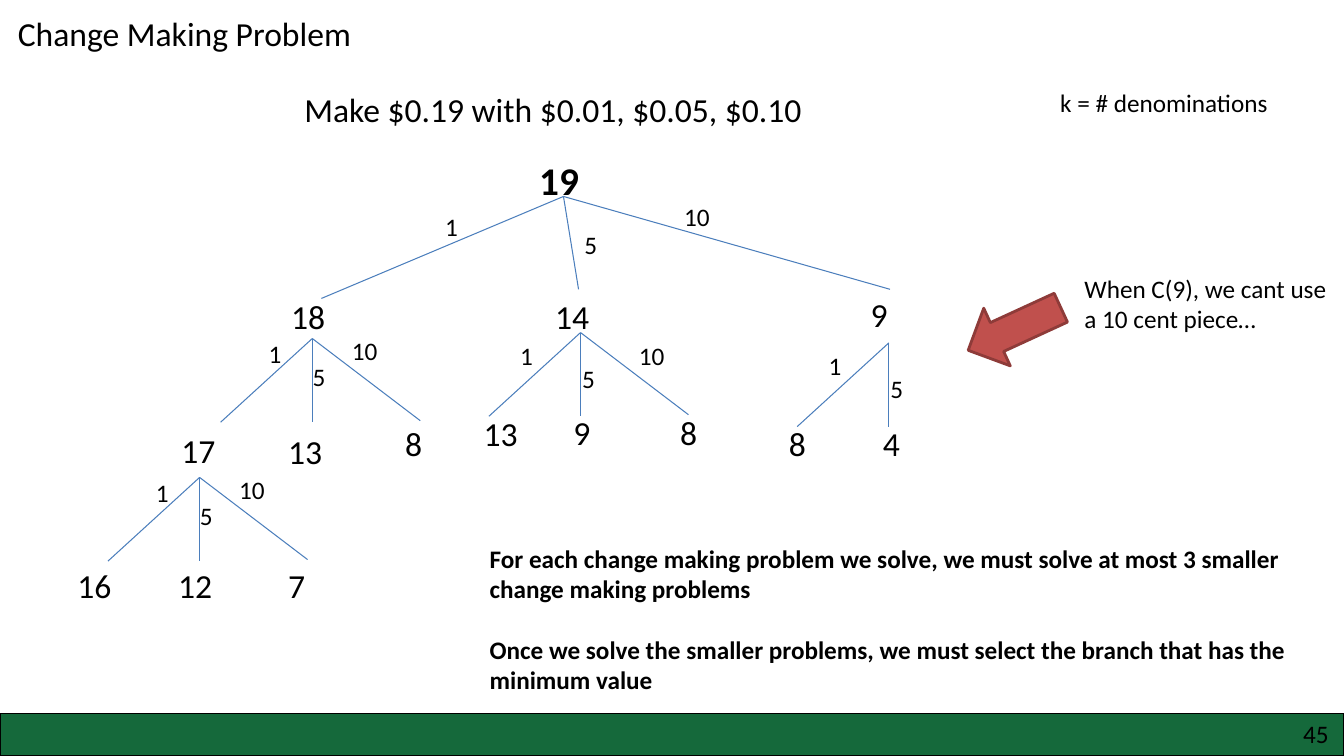
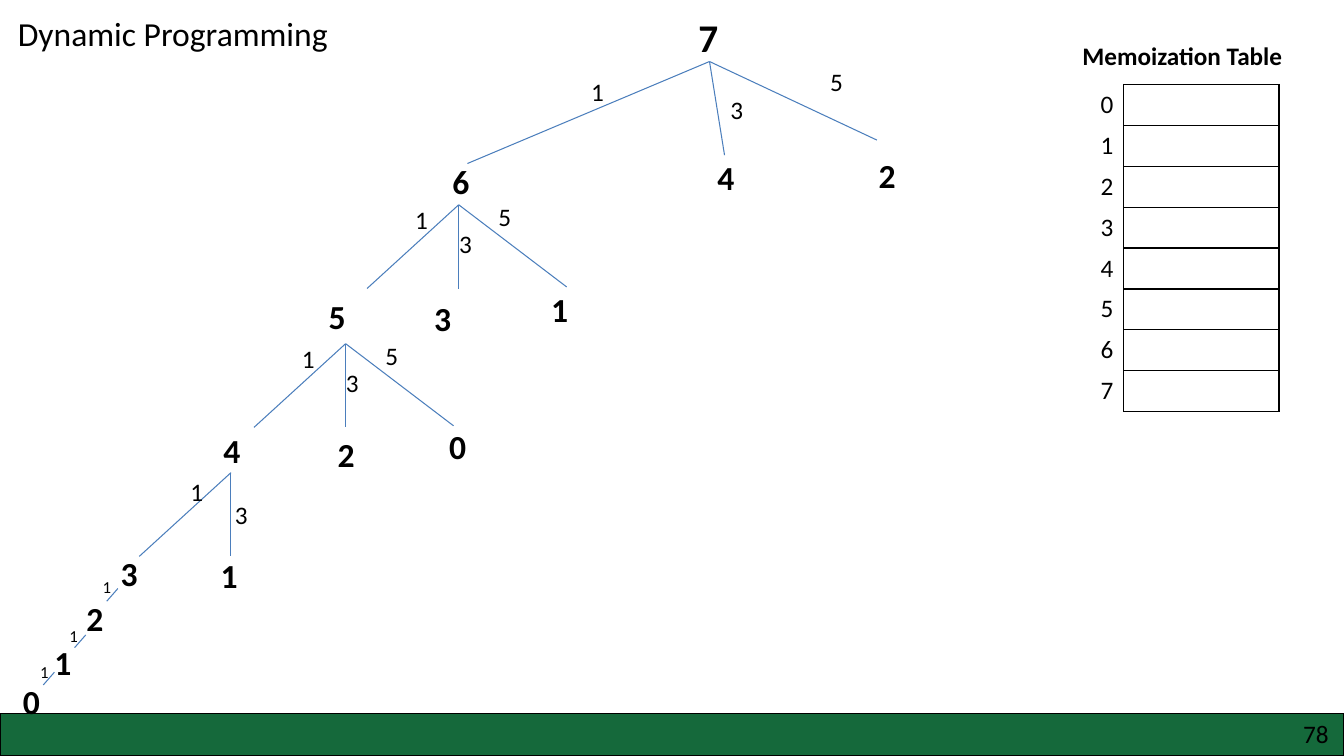
from pptx import Presentation
from pptx.dml.color import RGBColor
from pptx.enum.shapes import MSO_CONNECTOR, MSO_SHAPE
from pptx.oxml import parse_xml
from pptx.oxml.ns import nsdecls, qn
from pptx.util import Cm, Pt

STRAIGHT = MSO_CONNECTOR.STRAIGHT
RECTANGLE = MSO_SHAPE.RECTANGLE
RIGHT_ARROW = MSO_SHAPE.RIGHT_ARROW

FONT = "Calibri"
BLACK, WHITE = "000000", "FFFFFF"
GREEN, BLUE = "15693B", "4B7EBC"
RED, DARK_RED = "C0504D", "8E3B39"
WIDTH, HEIGHT = 33.87, 19.05
BAND_TOP = 17.98

BRANCH_ENDS = [(-2.31, 2.11), (0, 2.11), (2.72, 2.07)]
TIGHT_LABELS = [(-1.35, -0.13), (-0.24, 0.46), (0.75, -0.2)]
WIDE_LABELS = [(-1.77, 0.06), (-0.21, 0.65), (1.22, 0.08)]
LOW_LABELS = [(-1.27, -0.02), (-0.15, 0.56)]
ROOT_LABELS = [(-3.23, 0.25), (0.28, 0.71), (2.79, 0)]


def color(value):
    """Turn a hex string into a colour."""
    return RGBColor.from_string(value)


def write(para, text, size=18, bold=False, before=0):
    """Add one formatted span of text to a paragraph."""
    para.space_before = Pt(before)
    span = para.add_run()
    span.text = text
    span.font.name = FONT
    span.font.size = Pt(size)
    span.font.bold = bold
    span.font.color.rgb = color(BLACK)


class TreeDeck:
    """Hold the deck style and the page being drawn."""

    def __init__(self):
        """Start an empty widescreen deck."""
        self.deck = Presentation()
        self.deck.slide_width = Cm(WIDTH)
        self.deck.slide_height = Cm(HEIGHT)

    def start_page(self, title, number):
        """Add a page with its footer band, number and title."""
        self.page = self.deck.slides.add_slide(self.deck.slide_layouts[6])
        self.shape(RECTANGLE, 0, BAND_TOP, WIDTH, HEIGHT - BAND_TOP, GREEN, BLACK, 1)
        self.text(32.59, BAND_TOP, 1.37, number)
        self.text(0.2, 0.2, 14, title, size=24)

    def shape(self, kind, left, top, width, height, fill, line, weight):
        """Draw a filled and outlined preset shape."""
        shape = self.page.shapes.add_shape(kind, Cm(left), Cm(top), Cm(width), Cm(height))
        shape.shadow.inherit = False
        shape.fill.solid()
        shape.fill.fore_color.rgb = color(fill)
        shape.line.color.rgb = color(line)
        shape.line.width = Pt(weight)
        return shape

    def text(self, left, top, width, *texts, gap=0, height=1.02, **style):
        """Place a text box with one paragraph for each text."""
        box = self.page.shapes.add_textbox(Cm(left), Cm(top), Cm(width), Cm(height))
        frame = box.text_frame
        frame.word_wrap = True
        for index, text in enumerate(texts):
            para = frame.add_paragraph() if index else frame.paragraphs[0]
            write(para, text, before=gap if index else 0, **style)

    def line(self, left, top, across, down):
        """Draw a branch from a point by an offset."""
        line = self.page.shapes.add_connector(
            STRAIGHT, Cm(left), Cm(top), Cm(left + across), Cm(top + down))
        line.line.color.rgb = color(BLUE)
        line.line.width = Pt(0.75)
        line._element.spPr.append(parse_xml(f"<a:effectLst {nsdecls('a')}/>"))

    def fan(self, left, top, coins, spots=TIGHT_LABELS, ends=BRANCH_ENDS):
        """Draw one labelled branch for each coin below a node."""
        for coin, spot, end in zip(coins, spots, ends):
            self.line(left, top, *end)
            self.text(left + spot[0], top + spot[1], 1.3, coin)

    def nodes(self, nodes, **style):
        """Write the amounts at the nodes of the tree."""
        for amount, left, top in nodes:
            self.text(left, top, 2, amount, height=1.27, **style)

    def border(self, cell, *sides):
        """Draw thin black borders on the given sides of a cell."""
        properties = cell._tc.get_or_add_tcPr()
        for side in sides:
            properties.append(parse_xml(
                f'<a:ln{side} {nsdecls("a")} w="{Pt(1)}"><a:solidFill>'
                f'<a:srgbClr val="{BLACK}"/></a:solidFill></a:ln{side}>'))

    def memo_table(self, left, top, count, widths, row_height):
        """Add a table of numbered empty slots."""
        table = self.page.shapes.add_table(
            count, 2, Cm(left), Cm(top), Cm(sum(widths)), Cm(row_height * count)).table
        table.first_row = table.horz_banding = False
        for column, width in zip(table.columns, widths):
            column.width = Cm(width)
        for index, row in enumerate(table.rows):
            row.height = Cm(row_height)
            number, slot = row.cells
            write(number.text_frame.paragraphs[0], str(index))
            self.border(number, "R")
            self.border(slot, "L", "R", "T", "B")
            for cell in row.cells:
                cell.fill.solid()
                cell.fill.fore_color.rgb = color(WHITE)


def change_page(deck):
    """Draw the tree for making 19 cents."""
    deck.start_page("Change Making Problem", "45")
    deck.text(7.42, 2.11, 14.35, "Make $0.19 with $0.01, $0.05, $0.10", size=24)
    deck.text(26.47, 2.08, 6.3, "k = # denominations")
    coins = ["1", "5", "10"]
    deck.nodes([("19", 13.34, 3.81)], size=28, bold=True)
    deck.fan(14.2, 4.95, coins, ROOT_LABELS, [(-6.1, 2.57), (0.38, 2.34), (8.23, 2.34)])
    deck.fan(7.87, 8.53, coins)
    deck.fan(5.03, 12.03, coins)
    deck.fan(14.63, 8.38, coins, WIDE_LABELS)
    deck.fan(22.4, 8.64, coins[:2], WIDE_LABELS)
    deck.nodes([
        ("18", 7.09, 7.34), ("14", 13.74, 7.32), ("9", 21.69, 7.29),
        ("17", 4.32, 10.72), ("13", 7.01, 10.74), ("8", 9.96, 10.54),
        ("16", 1.7, 14.1), ("12", 4.24, 14.12), ("7", 7.01, 14.1),
        ("13", 11.94, 10.29), ("9", 14.2, 10.26), ("8", 16.89, 10.26),
        ("8", 19.63, 10.52), ("4", 22, 10.54),
    ], size=24)
    arrow = deck.shape(RIGHT_ARROW, 24.28, 7.49, 2.57, 1.6, RED, DARK_RED, 2)
    arrow.rotation = 155.3
    deck.text(27.08, 6.76, 6.81, "When C(9), we cant use a 10 cent piece…", height=1.8)
    deck.text(
        12.09, 13.56, 21.13,
        "For each change making problem we solve, we must solve at most 3 smaller "
        "change making problems",
        "Once we solve the smaller problems, we must select the branch that has the "
        "minimum value",
        gap=22, height=4.11, bold=True)


def memo_page(deck):
    """Draw the tree for making 7 cents and its memo table."""
    deck.start_page("Dynamic Programming", "78")
    coins = ["1", "3", "5"]
    deck.nodes([("7", 17.35, 0.2)], size=28, bold=True)
    deck.fan(17.88, 1.55, coins, ROOT_LABELS, [(-6.1, 2.57), (0.38, 2.36), (4.22, 1.98)])
    deck.fan(11.56, 5.16, coins)
    deck.fan(8.71, 8.66, coins)
    deck.fan(5.82, 11.91, coins[:2], LOW_LABELS)
    deck.nodes([
        ("6", 11.15, 3.94), ("4", 17.83, 3.84), ("2", 21.89, 3.78),
        ("5", 8.03, 7.34), ("3", 10.69, 7.37), ("1", 13.64, 7.16),
        ("4", 5.38, 10.72), ("2", 8.26, 10.8), ("0", 11.07, 10.62),
        ("3", 2.79, 13.82), ("1", 5.31, 13.87),
        ("2", 1.93, 14.94), ("1", 1.12, 16.05), ("0", 0.33, 17.04),
    ], size=24, bold=True)
    for left, top in [(2.97, 14.83), (2.16, 16), (1.37, 16.94)]:
        deck.line(left, top, -0.28, 0.32)
    for left, top in [(2.34, 14.4), (1.5, 15.65), (0.76, 16.54)]:
        deck.text(left, top, 0.86, "1", height=0.76, size=12)
    deck.text(27.03, 0.89, 6.25, "Memoization Table", bold=True)
    deck.memo_table(27.48, 2.13, 8, [0.84, 3.91], 1.03)


def main():
    """Build both pages and save the deck."""
    deck = TreeDeck()
    change_page(deck)
    memo_page(deck)
    deck.deck.save("out.pptx")


if __name__ == "__main__":
    main()
